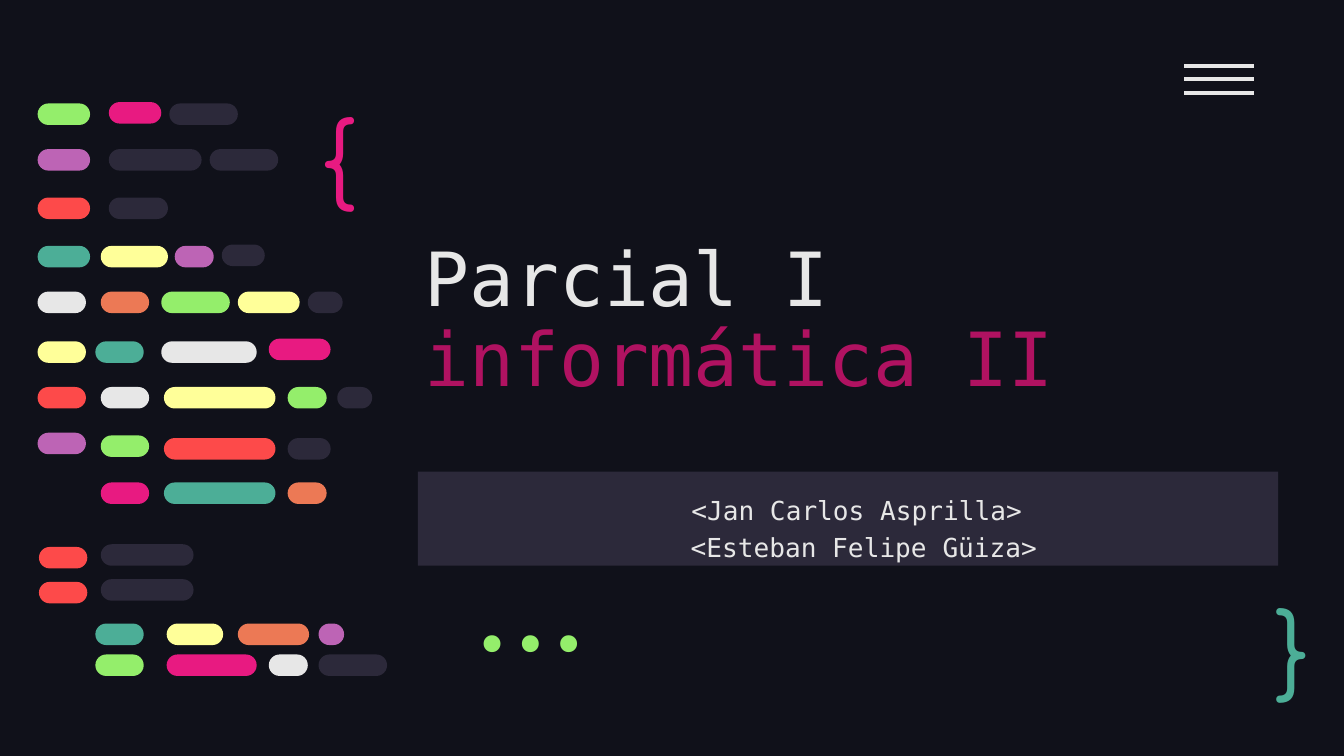
from pptx import Presentation
from pptx.dml.color import RGBColor
from pptx.enum.shapes import MSO_CONNECTOR, MSO_SHAPE
from pptx.enum.text import MSO_ANCHOR, PP_ALIGN
from pptx.oxml.ns import qn
from pptx.util import Inches, Pt
from lxml import etree

RECT, PILL = MSO_SHAPE.RECTANGLE, MSO_SHAPE.ROUNDED_RECTANGLE
STRAIGHT = MSO_CONNECTOR.STRAIGHT
TOP, MIDDLE, BOTTOM = MSO_ANCHOR.TOP, MSO_ANCHOR.MIDDLE, MSO_ANCHOR.BOTTOM
LEFT, CENTER, RIGHT = PP_ALIGN.LEFT, PP_ALIGN.CENTER, PP_ALIGN.RIGHT

NIGHT, SLATE, WHITE, BERRY = "10111A", "2C293A", "E7E7E7", "B01261"
GREEN, PINK, PURPLE, RED = "94EE6B", "E81A81", "BD64B5", "FD4A4A"
TEAL, YELLOW, ORANGE = "4CAE97", "FFFF99", "EC7955"
MONO = "DejaVu Sans Mono"

# Content
TITLE = [("Parcial I", WHITE), ("informática II", BERRY)]
# Spans as text and size, then left indent in inches
AUTHORS = [([(" ", 16), ("<Jan Carlos Asprilla>", 14)], 0),
           ([("<Esteban Felipe Güiza>", 14)], 0.24)]
# Text, place, font, colour, anchor, alignment
SYMBOLS = [
    ("{", (2.29, 0.62, 0.77, 0.95), "Comfortaa", PINK, TOP, LEFT),
    ("}", (9.39, 4.38, 0.57, 0.83), "Comfortaa", TEAL, MIDDLE, LEFT),
    ("...", (3.11, 4.49, 1.58, 0.6), "Fira Code", GREEN, BOTTOM, RIGHT),
]
# Code lines: top, then left, width and colour of each token
CODE_LINES = [
    (0.77, [(0.28, 0.39, GREEN), (1.26, 0.51, SLATE)]),
    (0.76, [(0.81, 0.39, PINK)]),
    (1.11, [(0.28, 0.39, PURPLE), (0.81, 0.69, SLATE), (1.56, 0.51, SLATE)]),
    (1.47, [(0.28, 0.39, RED), (0.81, 0.44, SLATE)]),
    (1.83, [(0.28, 0.39, TEAL), (0.75, 0.5, YELLOW), (1.3, 0.29, PURPLE)]),
    (1.82, [(1.65, 0.32, SLATE)]),
    (2.17, [(0.28, 0.36, WHITE), (0.75, 0.36, ORANGE), (1.2, 0.51, GREEN),
            (1.77, 0.46, YELLOW), (2.29, 0.26, SLATE)]),
    (2.54, [(0.28, 0.36, YELLOW), (0.71, 0.36, TEAL), (1.2, 0.71, WHITE)]),
    (2.52, [(2, 0.46, PINK)]),
    (2.88, [(0.28, 0.36, RED), (0.75, 0.36, WHITE), (1.22, 0.83, YELLOW),
            (2.14, 0.29, GREEN), (2.51, 0.26, SLATE)]),
    (3.22, [(0.28, 0.36, PURPLE)]),
    (3.24, [(0.75, 0.36, GREEN)]),
    (3.26, [(1.22, 0.83, RED), (2.14, 0.32, SLATE)]),
    (3.59, [(0.75, 0.36, PINK), (1.22, 0.83, TEAL), (2.14, 0.29, ORANGE)]),
    (4.07, [(0.29, 0.36, RED)]),
    (4.05, [(0.75, 0.69, SLATE)]),
    (4.33, [(0.29, 0.36, RED)]),
    (4.31, [(0.75, 0.69, SLATE)]),
    (4.64, [(0.71, 0.36, TEAL), (1.24, 0.42, YELLOW), (1.77, 0.53, ORANGE),
            (2.37, 0.19, PURPLE)]),
    (4.87, [(0.71, 0.36, GREEN), (1.24, 0.67, PINK), (2, 0.29, WHITE),
            (2.37, 0.51, SLATE)]),
]
PILL_HEIGHT = 0.16
MENU_LEFT, MENU_RIGHT, MENU_TOP, MENU_GAP = 8.81, 9.33, 0.49, 0.1


def rgb(value):
    return RGBColor.from_string(value)


def inches(*values):
    return [Inches(value) for value in values]


def set_frame(box, anchor):
    frame = box.text_frame
    settings = {"word_wrap": True, "vertical_anchor": anchor}
    for side in ("left", "top", "right", "bottom"):
        settings["margin_" + side] = Inches(0.1)
    for name, value in settings.items():
        setattr(frame, name, value)
    return frame


def add_span(para, text, font, size, color):
    span = para.add_run()
    span.text = text
    for name, value in {"name": font, "size": Pt(size)}.items():
        setattr(span.font, name, value)
    span.font.color.rgb = rgb(color)


def add_block(shapes, kind, place, color):
    block = shapes.add_shape(kind, *inches(*place))
    block.shadow.inherit = False
    block.fill.solid()
    block.fill.fore_color.rgb = rgb(color)
    block.line.fill.background()
    return block


# Widescreen page, 16 to 9
deck = Presentation()
deck.slide_width = Inches(10)
deck.slide_height = deck.slide_width * 9 // 16
page = deck.slides.add_slide(deck.slide_layouts[6])
page.background.fill.solid()
page.background.fill.fore_color.rgb = rgb(NIGHT)

# Title
box = page.shapes.add_textbox(*inches(3.06, 0.87, 6.34, 2.23))
para = set_frame(box, BOTTOM).paragraphs[0]
para.line_spacing = 0.9
for index, (text, color) in enumerate(TITLE):
    if index:
        para.add_line_break()
    add_span(para, text, MONO, 40, color)

# Author band
band = add_block(page.shapes, RECT, (3.11, 3.51, 6.4, 0.7), SLATE)
frame = set_frame(band, TOP)
for index, (spans, indent) in enumerate(AUTHORS):
    para = frame.add_paragraph() if index else frame.paragraphs[0]
    para.alignment, para.line_spacing = CENTER, 1.15
    para._p.get_or_add_pPr().set("marL", str(Inches(indent)))
    for text, size in spans:
        add_span(para, text, MONO, size, WHITE)

# Braces and dots
for text, place, font, color, anchor, alignment in SYMBOLS:
    box = page.shapes.add_textbox(*inches(*place))
    para = set_frame(box, anchor).paragraphs[0]
    para.alignment = alignment
    add_span(para, text, font, 50, color)

# Menu icon
menu = page.shapes.add_group_shape()
for index in range(3):
    y = MENU_TOP + index * MENU_GAP
    bar = menu.shapes.add_connector(STRAIGHT, *inches(MENU_LEFT, y, MENU_RIGHT, y))
    bar.line.color.rgb = rgb(WHITE)
    bar.line.width = Pt(2.25)
    etree.SubElement(bar._element.spPr, qn("a:effectLst"))

# Code tokens
code = page.shapes.add_group_shape()
for top, tokens in CODE_LINES:
    for left, width, color in tokens:
        pill = add_block(code.shapes, PILL, (left, top, width, PILL_HEIGHT), color)
        pill.adjustments[0] = 0.5

deck.save("out.pptx")
